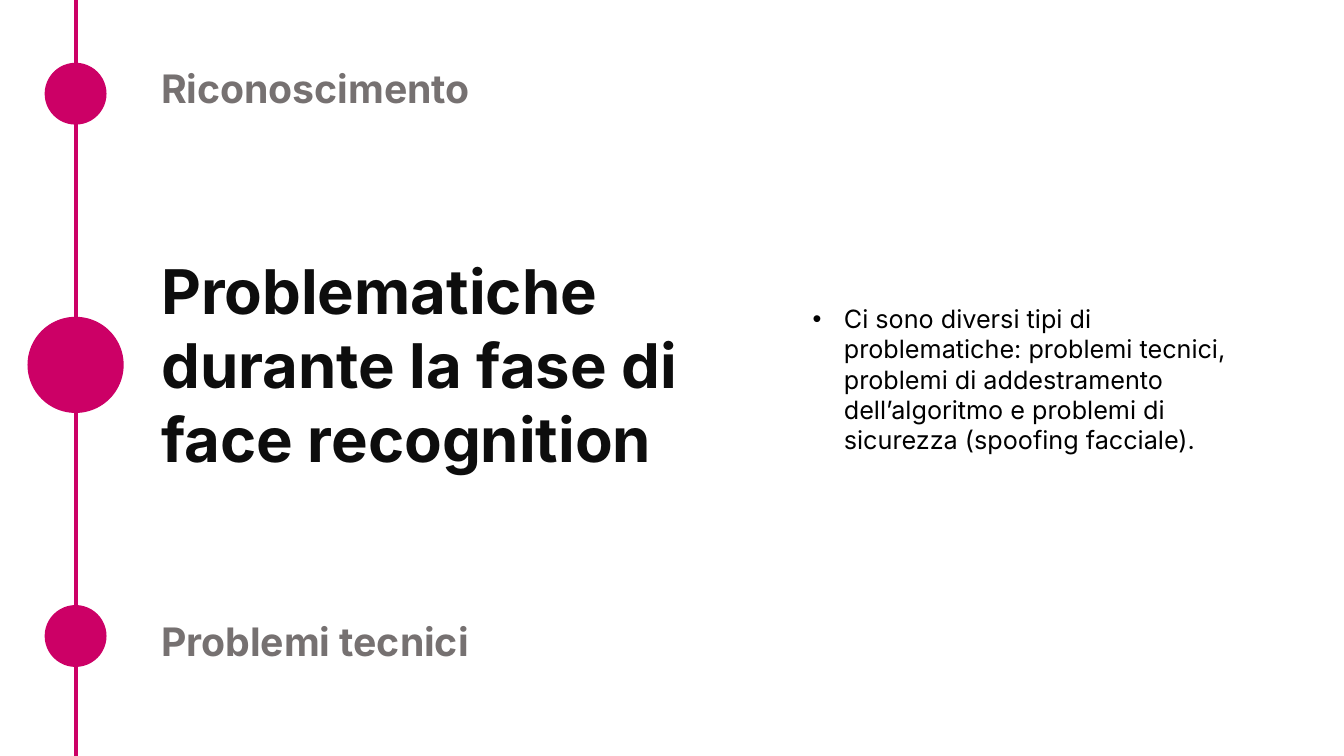
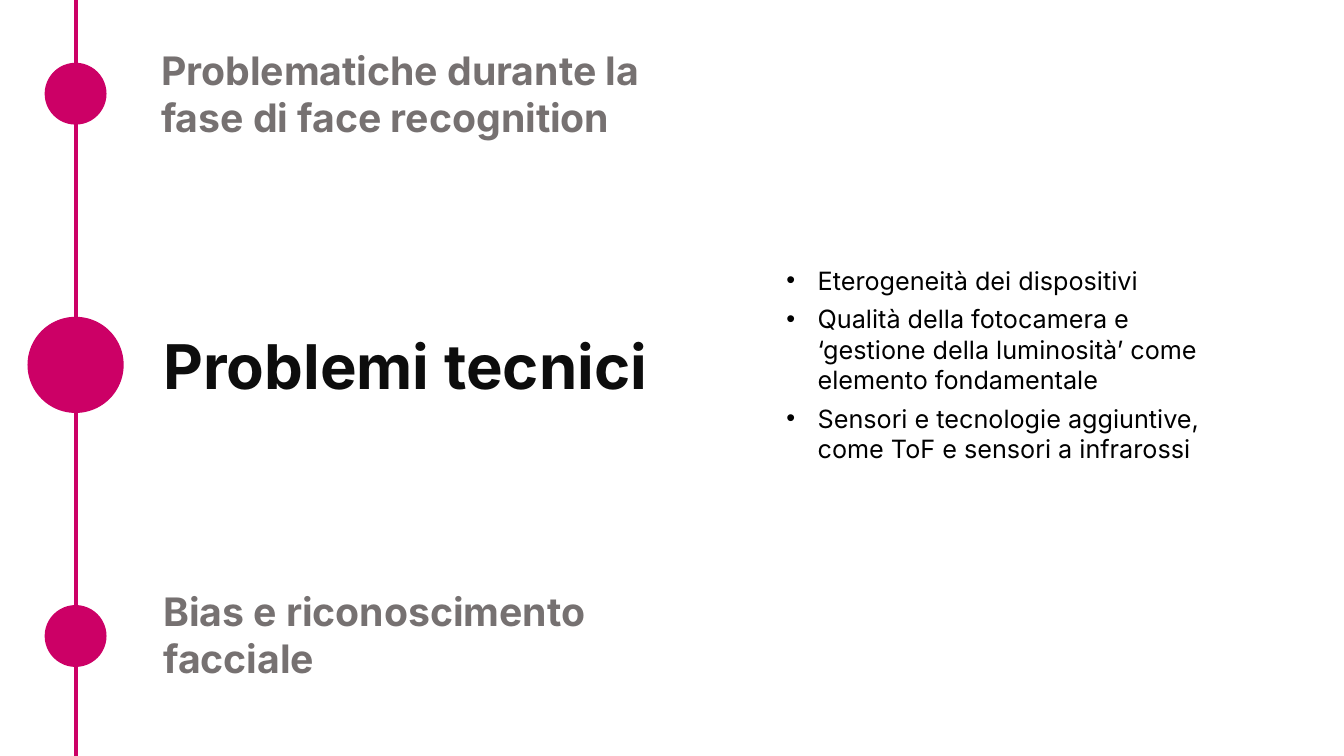
from lxml import etree
from pptx import Presentation
from pptx.dml.color import RGBColor
from pptx.enum.shapes import MSO_CONNECTOR, MSO_SHAPE
from pptx.enum.text import MSO_ANCHOR, MSO_AUTO_SIZE, PP_ALIGN
from pptx.oxml.ns import qn
from pptx.util import Inches, Pt

ELLIPSE = MSO_SHAPE.OVAL
STRAIGHT = MSO_CONNECTOR.STRAIGHT
TOP = MSO_ANCHOR.TOP
NO_AUTOFIT = MSO_AUTO_SIZE.NONE
LEFT = PP_ALIGN.LEFT

ACCENT, DARK, GREY, BLACK = "CC0066", "0D0D0D", "767171", "000000"
FONT = "Inter"
SLIDE_WIDTH, SLIDE_HEIGHT = 13.33, 7.5
SPINE_X = 0.75
STOPS = [(3.62, 0.94), (6.31, 0.6), (0.93, 0.6)]
HEADING_WIDTH, BODY_WIDTH = 5.71, 4.35
BULLET_INDENT = 0.31

SLIDES = [
    {
        "previous": ("Riconoscimento", 1.5, 0.59, 0.57),
        "title": ("Problematiche durante la fase di face recognition", 1.5, 2.46, 2.32),
        "next": ("Problemi tecnici", 1.5, 6.08, 0.57),
        "bullets": ([
            "Ci sono diversi tipi di problematiche: problemi tecnici, problemi di "
            "addestramento dell’algoritmo e problemi di sicurezza (spoofing facciale).",
        ], 7.96, 2.96, 1.62),
    },
    {
        "previous": ("Problematiche durante la fase di face recognition", 1.5, 0.41, 1.04),
        "title": ("Problemi tecnici", 1.52, 3.2, 0.84),
        "next": ("Bias e riconoscimento facciale", 1.52, 5.78, 1.04),
        "bullets": ([
            "Eterogeneità dei dispositivi",
            "Qualità della fotocamera e ‘gestione della luminosità’ come elemento fondamentale",
            "Sensori e tecnologie aggiuntive, come ToF e sensori a infrarossi",
        ], 7.7, 2.58, 2.09),
    },
]


def color(value):
    return RGBColor.from_string(value)


class TimelineDeck:
    def __init__(self):
        self.deck = Presentation()
        self.deck.slide_width = Inches(SLIDE_WIDTH)
        self.deck.slide_height = Inches(SLIDE_HEIGHT)
        self.page = None

    def add_page(self):
        self.page = self.deck.slides.add_slide(self.deck.slide_layouts[1])
        for center, diameter in STOPS:
            self.circle(center, diameter)
        self.spine()

    def circle(self, center, diameter):
        shape = self.page.shapes.add_shape(
            ELLIPSE, Inches(SPINE_X - diameter / 2), Inches(center - diameter / 2),
            Inches(diameter), Inches(diameter))
        shape.shadow.inherit = False
        shape.fill.solid()
        shape.fill.fore_color.rgb = color(ACCENT)
        shape.line.color.rgb = color(ACCENT)
        shape.line.width = Pt(1)

    def spine(self):
        line = self.page.shapes.add_connector(
            STRAIGHT, Inches(SPINE_X), 0, Inches(SPINE_X), Inches(SLIDE_HEIGHT))
        line.line.color.rgb = color(ACCENT)
        line.line.width = Pt(3)
        etree.SubElement(line._element.spPr, qn("a:effectLst"))

    def place(self, box, left, top, width, height):
        box.left, box.top = Inches(left), Inches(top)
        box.width, box.height = Inches(width), Inches(height)
        frame = box.text_frame
        frame.word_wrap = True
        frame.auto_size = NO_AUTOFIT
        frame.vertical_anchor = TOP

    def style(self, para, size, tone, bold):
        para.alignment = LEFT
        for span in para.runs:
            span.font.name = FONT
            span.font.size = Pt(size)
            span.font.bold = bold
            span.font.color.rgb = color(tone)

    def heading(self, box, text, left, top, height, size, tone):
        self.place(box, left, top, HEADING_WIDTH, height)
        box.text_frame.text = text
        self.style(box.text_frame.paragraphs[0], size, tone, True)

    def title(self, text, left, top, height):
        self.heading(self.page.shapes.title, text, left, top, height, 44, DARK)

    def neighbour(self, text, left, top, height):
        box = self.page.shapes.add_textbox(0, 0, 0, 0)
        self.heading(box, text, left, top, height, 28, GREY)

    def bullets(self, items, left, top, height):
        box = self.page.placeholders[1]
        self.place(box, left, top, BODY_WIDTH, height)
        box.text_frame.text = "\n".join(items)
        for index, para in enumerate(box.text_frame.paragraphs):
            properties = para._p.get_or_add_pPr()
            properties.set("marL", str(Inches(BULLET_INDENT)))
            properties.set("indent", str(-Inches(BULLET_INDENT)))
            bullet_font = etree.SubElement(properties, qn("a:buFont"))
            bullet_font.set("typeface", "Arial")
            bullet = etree.SubElement(properties, qn("a:buChar"))
            bullet.set("char", "•")
            para.space_before = Pt(6 if index else 0)
            self.style(para, 18, BLACK, False)

    def save(self):
        self.deck.save("out.pptx")


def main():
    timeline = TimelineDeck()
    for content in SLIDES:
        timeline.add_page()
        timeline.neighbour(*content["previous"])
        timeline.title(*content["title"])
        timeline.neighbour(*content["next"])
        timeline.bullets(*content["bullets"])
    timeline.save()


if __name__ == "__main__":
    main()
